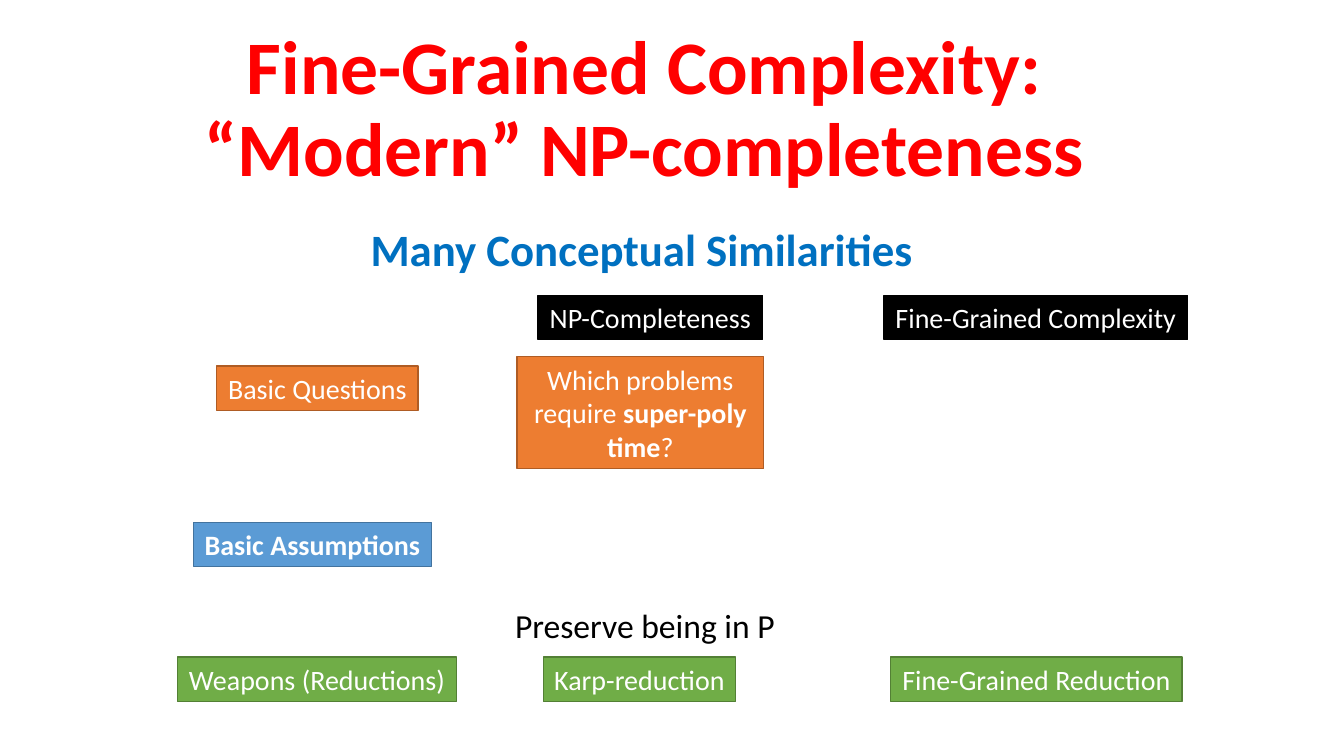
from pptx import Presentation
from pptx.dml.color import RGBColor
from pptx.enum.shapes import MSO_SHAPE
from pptx.enum.text import MSO_ANCHOR, MSO_AUTO_SIZE, PP_ALIGN
from pptx.util import Cm, Pt

COLORS = {
    "title": "FF0000", "subtitle": "0070C0", "text": "000000", "label": "FFFFFF",
    "header": "000000", "header_line": "000000",
    "question": "ED7D31", "question_line": "AF5C24",
    "assumption": "5B9BD5", "assumption_line": "43739E",
    "reduction": "70AD47", "reduction_line": "538035",
}
LABEL_H = 1.12


def color(name):
    return RGBColor.from_string(COLORS[name])


def write(sp, runs, size, ink, align=PP_ALIGN.CENTER, **frame):
    """Fill a shape with one paragraph of (text, bold) runs; None is a line break."""
    tf = sp.text_frame
    settings = {"word_wrap": False, "auto_size": MSO_AUTO_SIZE.SHAPE_TO_FIT_TEXT}
    for key, value in (settings | frame).items():
        setattr(tf, key, value)
    p = tf.paragraphs[0]
    p.alignment = align
    for run in runs:
        if run is None:
            p.add_line_break()
            continue
        r = p.add_run()
        r.text, bold = run
        for key, value in {"name": "Calibri", "size": Pt(size), "bold": bold}.items():
            setattr(r.font, key, value)
        r.font.color.rgb = color(ink)
    return p


def add_text(s, box):
    return s.shapes.add_textbox(*map(Cm, box))


def add_label(s, box, kind, runs, **frame):
    sp = s.shapes.add_shape(MSO_SHAPE.RECTANGLE, *map(Cm, box))
    sp.shadow.inherit = False
    sp.fill.solid()
    sp.fill.fore_color.rgb = color(kind)
    sp.line.color.rgb = color(f"{kind}_line")
    sp.line.width = Pt(1)
    write(sp, runs, 20, "label", vertical_anchor=MSO_ANCHOR.MIDDLE, **frame)


def add_heading(s, left, top, width):
    title = add_text(s, (left, top, width, 4.47))
    p = write(title, [("Fine-Grained Complexity:", True), None,
                      ("“Modern” NP-completeness", True)], 54, "title",
              word_wrap=True, auto_size=MSO_AUTO_SIZE.NONE,
              vertical_anchor=MSO_ANCHOR.BOTTOM)
    p.line_spacing = 0.9
    subtitle = add_text(s, (left + 7.62, top + 4.95, 14.3, 1.63))
    write(subtitle, [("Many Conceptual Similarities", True)], 32, "subtitle",
          PP_ALIGN.LEFT)


def add_comparison(s, left, top):
    """Place the headers and rows of labels; offsets run from the top left corner."""
    labels = [
        (9.09, 0, 5.66, "header", "NP-Completeness", False),
        (17.81, 0, 7.65, "header", "Fine-Grained Complexity", False),
        (0.99, 1.78, 5.08, "question", "Basic Questions", False),
        (0.41, 5.72, 5.99, "assumption", "Basic Assumptions", True),
        (0, 9.12, 7.04, "reduction", "Weapons (Reductions)", False),
        (9.22, 9.12, 4.85, "reduction", "Karp-reduction", False),
        (17.98, 9.12, 7.34, "reduction", "Fine-Grained Reduction", False),
    ]
    for x, y, width, kind, text, bold in labels:
        add_label(s, (left + x, top + y, width, LABEL_H), kind, [(text, bold)])

    add_label(s, (left + 8.56, top + 1.55, 6.22, 2.82), "question",
              [("Which problems require ", False), ("super-poly time", True),
               ("?", False)], word_wrap=True)
    note = add_text(s, (left + 8.26, top + 7.67, 7.32, 1.27))
    write(note, [("Preserve being in P", False)], 24, "text", PP_ALIGN.LEFT,
          word_wrap=True)


def main():
    prs = Presentation()
    prs.slide_width, prs.slide_height = Cm(33.87), Cm(19.05)
    s = prs.slides.add_slide(prs.slide_layouts[6])
    add_heading(s, 1.47, 0.51, 29.54)
    add_comparison(s, 4.47, 7.44)
    prs.save("out.pptx")


if __name__ == "__main__":
    main()
